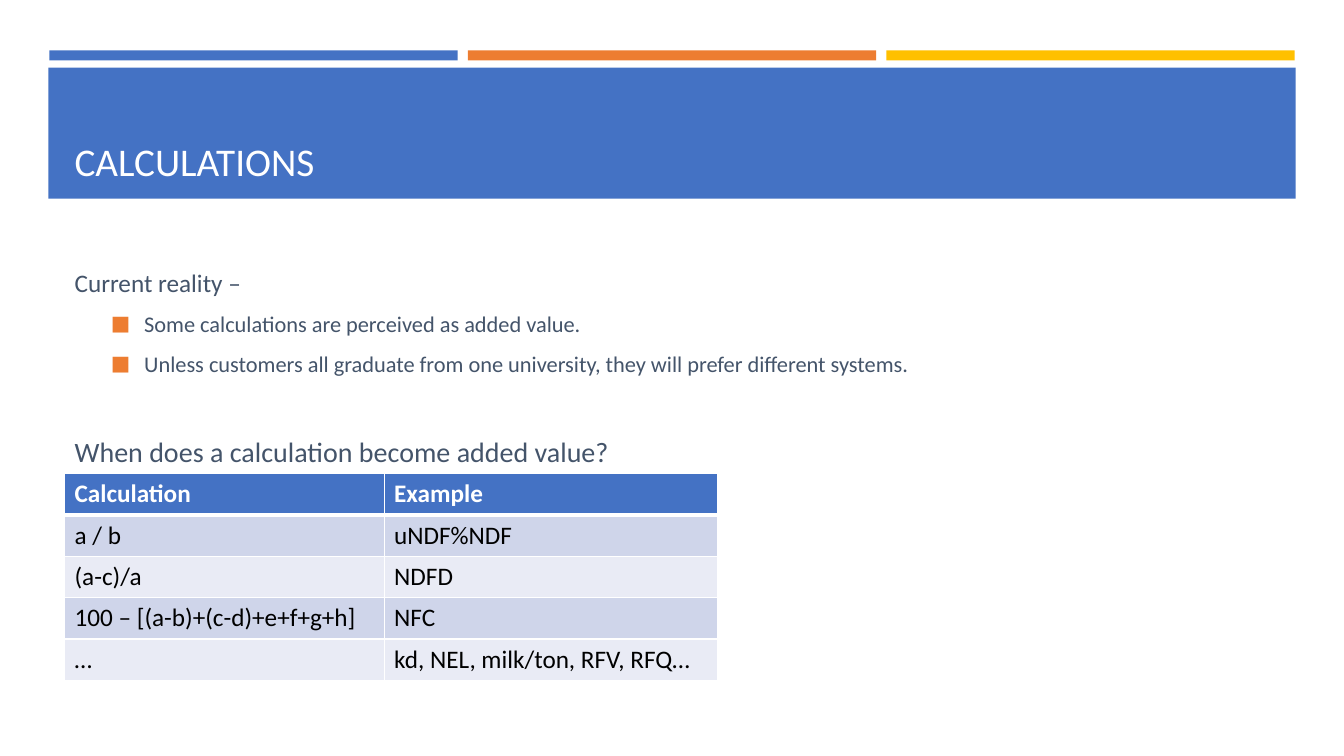
from dataclasses import dataclass

from lxml.etree import SubElement
from pptx import Presentation
from pptx.dml.color import RGBColor
from pptx.enum.shapes import MSO_SHAPE
from pptx.enum.text import MSO_ANCHOR, MSO_AUTO_SIZE, PP_ALIGN
from pptx.oxml import parse_xml
from pptx.oxml.ns import nsdecls, qn
from pptx.util import Inches, Pt

FONT = "Calibri"
BLUE, ORANGE, GOLD = "4472C4", "ED7D31", "FFC000"
WHITE, BLACK, SLATE = "FFFFFF", "000000", "44546A"
BANDS = ("CFD5EA", "E9EBF5")


@dataclass
class Block:
    left: float
    top: float
    width: float
    height: float
    color: str


@dataclass
class BodyLine:
    text: str
    size: float
    space_before: float
    bulleted: bool = False


BAR_WIDTH, BAR_GAP = 4.05, 0.1
BLOCKS = [
    Block(0.49 + index * (BAR_WIDTH + BAR_GAP), 0.5, BAR_WIDTH, 0.1, color)
    for index, color in enumerate((BLUE, ORANGE, GOLD))
] + [Block(0.48, 0.67, 12.37, 1.3, BLUE)]

BODY_LINES = [
    BodyLine("Current reality –", 18, 0),
    BodyLine("Some calculations are perceived as added value.", 16, 3.2, True),
    BodyLine("Unless customers all graduate from one university, "
             "they will prefer different systems.", 16, 3.2, True),
    BodyLine("When does a calculation become added value?", 20, 35),
]

TABLE_ROWS = [
    ("Calculation", "Example"),
    ("a / b", "uNDF%NDF"),
    ("(a-c)/a", "NDFD"),
    ("100 – [(a-b)+(c-d)+e+f+g+h]", "NFC"),
    ("…", "kd, NEL, milk/ton, RFV, RFQ…"),
]
COLUMN_WIDTHS = (3.17, 3.31)
ROW_HEIGHT = 0.41


def rgb(color: str) -> RGBColor:
    return RGBColor.from_string(color)


def format_font(paragraph, size: float, color: str, bold: bool = False) -> None:
    font = paragraph.font
    font.name, font.size, font.bold = FONT, Pt(size), bold
    font.color.rgb = rgb(color)


def place(shape, left: float, top: float, width: float, height: float) -> None:
    shape.left, shape.top = Inches(left), Inches(top)
    shape.width, shape.height = Inches(width), Inches(height)


def add_block(slide, block: Block) -> None:
    shape = slide.shapes.add_shape(
        MSO_SHAPE.RECTANGLE, Inches(block.left), Inches(block.top),
        Inches(block.width), Inches(block.height))
    shape.shadow.inherit = False
    shape.fill.solid()
    shape.fill.fore_color.rgb = rgb(block.color)
    shape.line.fill.background()
    # Keep the decoration behind the placeholders
    slide.shapes._spTree.insert(2, shape._element)


def set_bullet(paragraph, bulleted: bool) -> None:
    properties = paragraph._p.get_or_add_pPr()
    properties.set("marL", str(Inches(0.69 if bulleted else 0)))
    properties.set("indent", str(Inches(-0.33 if bulleted else 0)))
    if not bulleted:
        SubElement(properties, qn("a:buNone"))
        return
    color = SubElement(properties, qn("a:buClr"))
    SubElement(color, qn("a:srgbClr"), val=ORANGE)
    SubElement(properties, qn("a:buSzPct"), val="92000")
    SubElement(properties, qn("a:buFont"), typeface=FONT)
    SubElement(properties, qn("a:buChar"), char="■")


def fill_title(title) -> None:
    place(title, 0.64, 0.77, 12.06, 1.11)
    frame = title.text_frame
    frame.text = "CALCULATIONS"
    frame.vertical_anchor = MSO_ANCHOR.BOTTOM
    frame.auto_size = MSO_AUTO_SIZE.NONE
    frame.paragraphs[0].alignment = PP_ALIGN.LEFT
    format_font(frame.paragraphs[0], 28, WHITE)


def fill_body(body) -> None:
    place(body, 0.64, 2.6, 12.06, 2.1)
    frame = body.text_frame
    frame.vertical_anchor = MSO_ANCHOR.TOP
    frame.auto_size = MSO_AUTO_SIZE.NONE
    frame.text = "\n".join(line.text for line in BODY_LINES)
    for paragraph, line in zip(frame.paragraphs, BODY_LINES):
        paragraph.level = int(line.bulleted)
        paragraph.line_spacing = 1.0
        paragraph.space_before = Pt(line.space_before)
        paragraph.space_after = Pt(6)
        set_bullet(paragraph, line.bulleted)
        format_font(paragraph, line.size, SLATE)


def set_borders(cell, top: float, bottom: float) -> None:
    properties = cell._tc.get_or_add_tcPr()
    widths = {"lnL": 1, "lnR": 1, "lnT": top, "lnB": bottom}
    for index, (side, width) in enumerate(widths.items()):
        properties.insert(index, parse_xml(
            f'<a:{side} {nsdecls("a")} w="{Pt(width)}"><a:solidFill>'
            f'<a:srgbClr val="{WHITE}"/></a:solidFill></a:{side}>'))


def add_examples_table(slide) -> None:
    table = slide.shapes.add_table(
        len(TABLE_ROWS), len(COLUMN_WIDTHS), Inches(0.64), Inches(4.7),
        Inches(sum(COLUMN_WIDTHS)), Inches(ROW_HEIGHT * len(TABLE_ROWS))).table
    for column, width in zip(table.columns, COLUMN_WIDTHS):
        column.width = Inches(width)
    for row_index, row in enumerate(TABLE_ROWS):
        header = row_index == 0
        table.rows[row_index].height = Inches(ROW_HEIGHT)
        for column_index, text in enumerate(row):
            cell = table.cell(row_index, column_index)
            cell.text = text
            cell.fill.solid()
            cell.fill.fore_color.rgb = rgb(BLUE if header else BANDS[(row_index - 1) % 2])
            format_font(cell.text_frame.paragraphs[0], 18, WHITE if header else BLACK, header)
            set_borders(cell, top=3 if row_index == 1 else 1, bottom=3 if header else 1)


def main() -> None:
    presentation = Presentation()
    presentation.slide_width = Inches(13.33)
    presentation.slide_height = Inches(7.5)
    slide = presentation.slides.add_slide(presentation.slide_layouts[1])

    # Bars and title banner
    for block in BLOCKS:
        add_block(slide, block)

    # Title and list
    fill_title(slide.shapes.title)
    fill_body(slide.placeholders[1])

    # Calculations with examples
    add_examples_table(slide)

    presentation.save("out.pptx")


if __name__ == "__main__":
    main()
